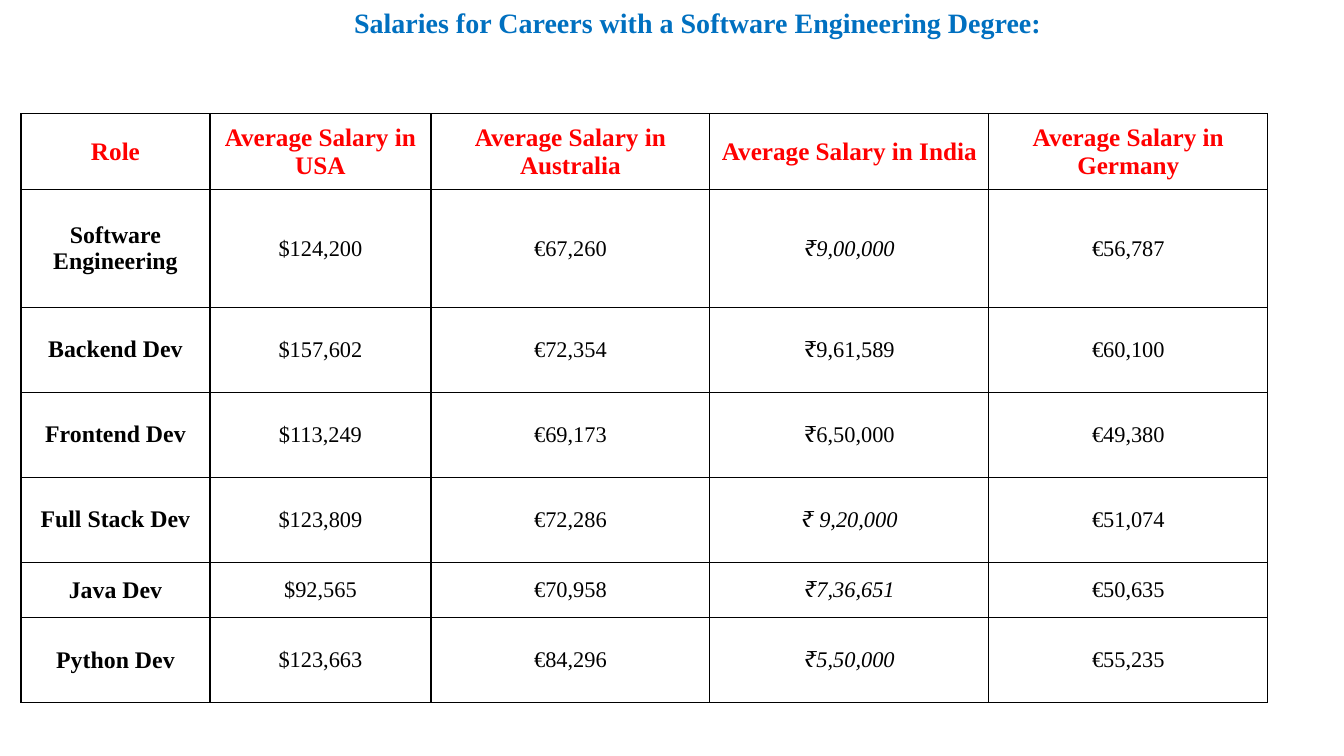
import pptx
import pptx.dml.color
import pptx.enum.text
import pptx.util
from lxml import etree
from pptx.util import Cm, Pt

COLORS = {"title": "0070C0", "header": "FF0000", "body": "000000", "border": "000000"}
A = "http://schemas.openxmlformats.org/drawingml/2006/main"

header = ["Role"] + [f"Average Salary in {country}" for country in ("USA", "Australia", "India", "Germany")]
salaries = [
    ["Software Engineering", "$124,200", "€67,260", "₹9,00,000", "€56,787"],
    ["Backend Dev", "$157,602", "€72,354", "₹9,61,589", "€60,100"],
    ["Frontend Dev", "$113,249", "€69,173", "₹6,50,000", "€49,380"],
    ["Full Stack Dev", "$123,809", "€72,286", "₹ 9,20,000", "€51,074"],
    ["Java Dev", "$92,565", "€70,958", "₹7,36,651", "€50,635"],
    ["Python Dev", "$123,663", "€84,296", "₹5,50,000", "€55,235"],
]
italic_salaries = {"₹9,00,000", "₹ 9,20,000", "₹7,36,651", "₹5,50,000"}
column_widths = [4.76, 5.57, 7.03, 7.03, 7.03]
row_heights = [1.89, 2.97, 2.14, 2.14, 2.14, 1.4, 2.14]


def write_centred(paragraph, text, color, **font_format):
    paragraph.alignment = pptx.enum.text.PP_ALIGN.CENTER
    run = paragraph.add_run()
    run.text = text
    run.font.color.rgb = pptx.dml.color.RGBColor.from_string(COLORS[color])
    for attribute, value in {"name": "Times New Roman", **font_format}.items():
        setattr(run.font, attribute, value)


def add_borders(cell):
    properties = cell._tc.get_or_add_tcPr()
    for side in ("lnL", "lnR", "lnT", "lnB"):
        line = etree.SubElement(properties, f"{{{A}}}{side}", w=str(Pt(1)))
        fill = etree.SubElement(line, f"{{{A}}}solidFill")
        etree.SubElement(fill, f"{{{A}}}srgbClr", val=COLORS["border"])


presentation = pptx.Presentation()
presentation.slide_width, presentation.slide_height = Cm(33.87), Cm(19.05)
slide = presentation.slides.add_slide(presentation.slide_layouts[6])

salary_table = slide.shapes.add_table(
    len(row_heights), len(column_widths),
    Cm(0.53), Cm(2.87), Cm(sum(column_widths)), Cm(sum(row_heights)),
).table
salary_table.first_row = salary_table.horz_banding = False
for column, width in zip(salary_table.columns, column_widths):
    column.width = Cm(width)
for row, height in zip(salary_table.rows, row_heights):
    row.height = Cm(height)

for row_index, entries in enumerate([header] + salaries):
    for column_index, entry in enumerate(entries):
        is_header, is_role = row_index == 0, column_index == 0
        cell = salary_table.cell(row_index, column_index)
        add_borders(cell)
        cell.fill.background()
        side_margin = Cm(0.1 if is_role else 0.25)
        end_margin = Cm(0.25 if is_header else 0.2 if is_role else 0.36)
        cell_format = {
            "vertical_anchor": pptx.enum.text.MSO_ANCHOR.MIDDLE,
            "margin_left": side_margin, "margin_right": side_margin,
            "margin_top": end_margin, "margin_bottom": end_margin,
        }
        for attribute, value in cell_format.items():
            setattr(cell, attribute, value)
        paragraph = cell.text_frame.paragraphs[0]
        paragraph.space_after = Pt(7.5)
        write_centred(
            paragraph, entry, "header" if is_header else "body",
            size=Pt(18 if is_header else 17 if is_role else 16),
            bold=is_header or is_role, italic=entry in italic_salaries,
        )

title = slide.shapes.add_textbox(Cm(8.86), Cm(0.15), Cm(17.45), Cm(1.7)).text_frame
title_format = {
    "word_wrap": False, "vertical_anchor": pptx.enum.text.MSO_ANCHOR.TOP,
    "margin_left": 0, "margin_right": 0, "margin_top": 0, "margin_bottom": 0,
}
for attribute, value in title_format.items():
    setattr(title, attribute, value)
write_centred(
    title.paragraphs[0], "Salaries for Careers with a Software Engineering Degree:",
    "title", size=Pt(20), bold=True,
)

presentation.save("out.pptx")
